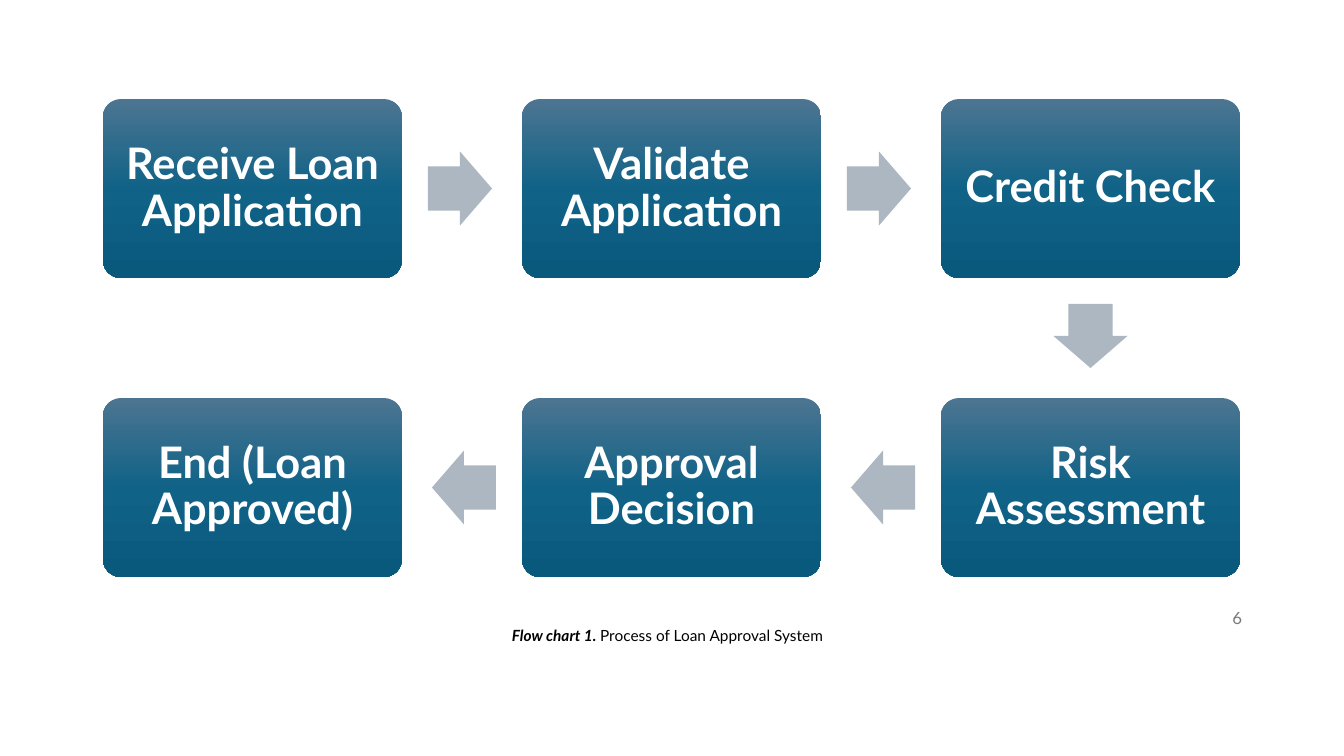
from copy import deepcopy
from itertools import pairwise

from pptx import Presentation
from pptx.dml.color import RGBColor
from pptx.enum.shapes import MSO_SHAPE
from pptx.enum.text import MSO_ANCHOR, MSO_AUTO_SIZE, PP_ALIGN
from pptx.util import Emu, Pt

WHITE = RGBColor(0xFF, 0xFF, 0xFF)
BLACK = RGBColor(0x00, 0x00, 0x00)
GREY = RGBColor(0x79, 0x79, 0x79)
ARROW = RGBColor(0xAC, 0xB7, 0xC1)
STEP_GRADIENT = [
    (0, RGBColor(0x4C, 0x75, 0x91)),
    (0.5, RGBColor(0x10, 0x62, 0x87)),
    (1, RGBColor(0x09, 0x59, 0x7D)),
]

STEPS = [
    ("Receive Loan Application", 0, 0),
    ("Validate Application", 1, 0),
    ("Credit Check", 2, 0),
    ("Risk Assessment", 2, 1),
    ("Approval Decision", 1, 1),
    ("End (Loan Approved)", 0, 1),
]
LEFT, TOP = 103, 99
COLUMN_PITCH, ROW_PITCH = 419, 299
STEP_WIDTH, STEP_HEIGHT = 299, 179
ARROW_WIDTH, ARROW_HEIGHT = 64, 74
ARROW_SETBACK = 2
ROTATIONS = {(1, 0): 0, (0, 1): 90, (-1, 0): 180}


def px(length):
    return Emu(round(length * 914400 / 100.8))


class FlowSlide:
    font = "Lato"

    def __init__(self, slide):
        self.shapes = slide.shapes

    def style(self, run, size, color, bold=False, italic=False):
        run.font.name = self.font
        run.font.size = Pt(size)
        run.font.color.rgb = color
        run.font.bold = bold
        run.font.italic = italic

    def shape(self, kind, left, top, width, height):
        shape = self.shapes.add_shape(kind, px(left), px(top), px(width), px(height))
        shape.shadow.inherit = False
        shape.line.fill.background()
        return shape

    def step(self, label, column, row):
        step = self.shape(
            MSO_SHAPE.ROUNDED_RECTANGLE,
            LEFT + column * COLUMN_PITCH,
            TOP + row * ROW_PITCH,
            STEP_WIDTH,
            STEP_HEIGHT,
        )
        step.adjustments[0] = 0.1
        step.fill.gradient()
        step.fill.gradient_angle = 270
        first_stop = step.fill._xPr.gradFill.gsLst[0]
        first_stop.addnext(deepcopy(first_stop))
        for stop, (position, color) in zip(step.fill.gradient_stops, STEP_GRADIENT):
            stop.position = position
            stop.color.rgb = color

        frame = step.text_frame
        frame.word_wrap = True
        frame.vertical_anchor = MSO_ANCHOR.MIDDLE
        frame.margin_left = frame.margin_right = px(13)
        frame.margin_top = frame.margin_bottom = px(13)
        frame.text = label
        paragraph = frame.paragraphs[0]
        paragraph.alignment = PP_ALIGN.CENTER
        paragraph.line_spacing = 0.9
        self.style(paragraph.runs[0], 31, WHITE, bold=True)

    def arrow(self, start, end):
        (_, column, row), (_, next_column, next_row) = start, end
        dx, dy = next_column - column, next_row - row
        center_x = LEFT + STEP_WIDTH / 2 + (column + dx / 2) * COLUMN_PITCH
        center_y = TOP + STEP_HEIGHT / 2 + (row + dy / 2) * ROW_PITCH
        arrow = self.shape(
            MSO_SHAPE.RIGHT_ARROW,
            center_x - dx * ARROW_SETBACK - ARROW_WIDTH / 2,
            center_y - dy * ARROW_SETBACK - ARROW_HEIGHT / 2,
            ARROW_WIDTH,
            ARROW_HEIGHT,
        )
        arrow.adjustments[0] = 0.6
        arrow.adjustments[1] = 0.5
        arrow.rotation = ROTATIONS[dx, dy]
        arrow.fill.solid()
        arrow.fill.fore_color.rgb = ARROW

    def text_box(self, left, top, width, height):
        return self.shapes.add_textbox(px(left), px(top), px(width), px(height)).text_frame

    def page_number(self, number):
        frame = self.text_box(950, 598, 302, 40)
        frame.word_wrap = True
        frame.vertical_anchor = MSO_ANCHOR.MIDDLE
        frame.text = number
        paragraph = frame.paragraphs[0]
        paragraph.alignment = PP_ALIGN.RIGHT
        self.style(paragraph.runs[0], 12, GREY)

    def caption(self, label, description):
        frame = self.text_box(502, 621, 340, 29)
        frame.word_wrap = False
        frame.auto_size = MSO_AUTO_SIZE.SHAPE_TO_FIT_TEXT
        frame.text = label
        paragraph = frame.paragraphs[0]
        self.style(paragraph.runs[0], 11, BLACK, bold=True, italic=True)
        description_run = paragraph.add_run()
        description_run.text = description
        self.style(description_run, 11, BLACK)


def main():
    presentation = Presentation()
    presentation.slide_width = px(1344)
    presentation.slide_height = px(756)
    flow = FlowSlide(presentation.slides.add_slide(presentation.slide_layouts[6]))
    for step in STEPS:
        flow.step(*step)
    for start, end in pairwise(STEPS):
        flow.arrow(start, end)
    flow.page_number("6")
    flow.caption("Flow chart 1. ", "Process of Loan Approval System")
    presentation.save("out.pptx")


if __name__ == "__main__":
    main()
